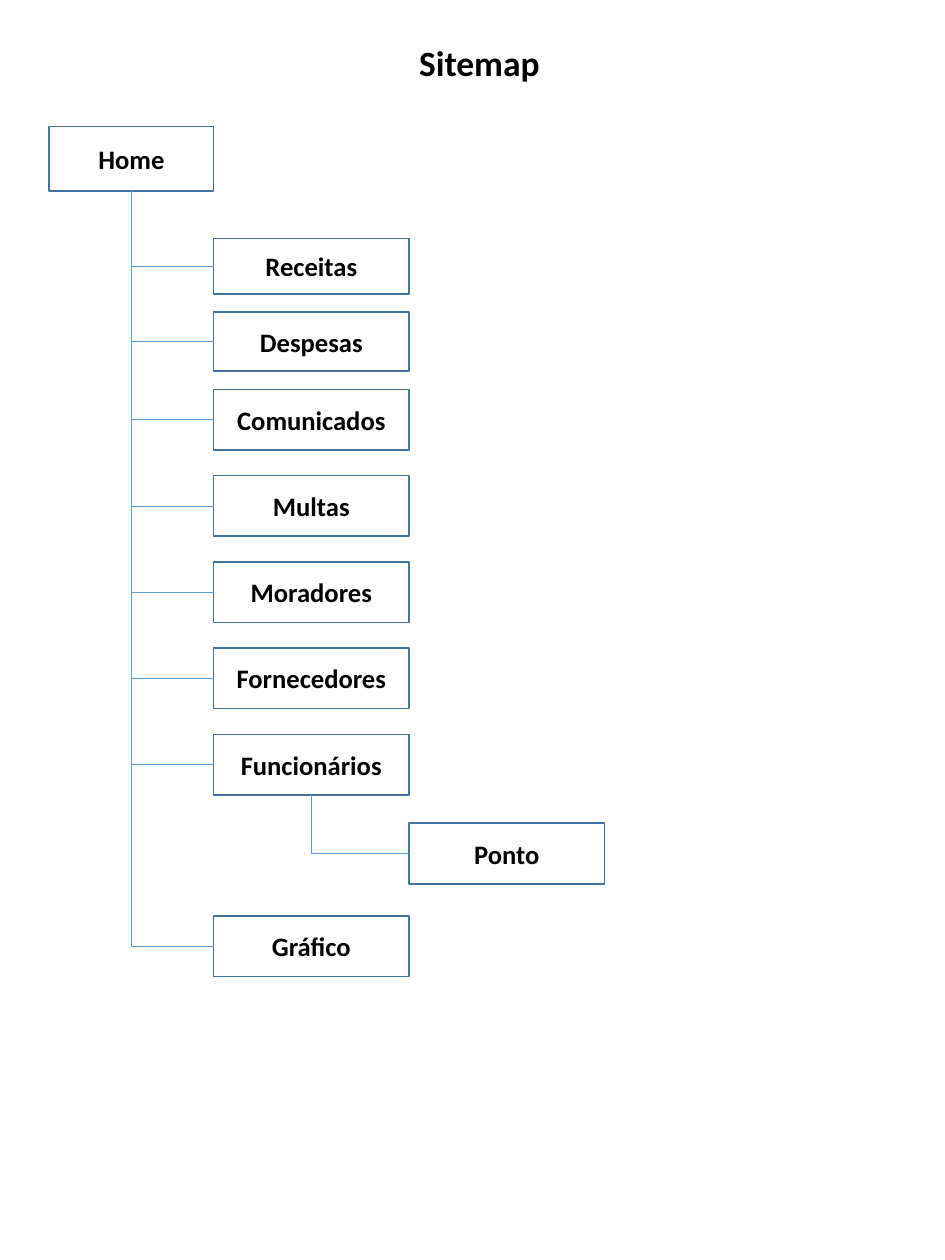
"""Build the one-page sitemap of a condominium management site."""
from dataclasses import dataclass

from lxml import etree
from pptx import Presentation
from pptx import util as u
from pptx.dml.color import RGBColor
from pptx.enum import shapes, text
from pptx.oxml.ns import qn


@dataclass(frozen=True)
class Theme:
    font: str = "Calibri"
    ink: str = "000000"
    border: str = "43739E"
    branch: str = "5B9BD5"
    title_size: float = 24
    page_size: float = 18
    border_width: float = 1
    branch_width: float = 0.5


class Sitemap:
    def __init__(self, slide, theme):
        self.slide = slide
        self.theme = theme

    def apply(self, target, formats):
        for name, value in formats.items():
            setattr(target, name, value)

    def stroke(self, line, color, width):
        line.color.rgb = RGBColor.from_string(color)
        line.width = u.Pt(width)

    def label(self, frame, wording, size, align, formats):
        self.apply(frame, formats)
        paragraph = frame.paragraphs[0]
        paragraph.alignment = align
        run = paragraph.add_run()
        run.text = wording
        self.apply(run.font, {"name": self.theme.font, "size": u.Pt(size), "bold": True})
        run.font.color.rgb = RGBColor.from_string(self.theme.ink)

    def title(self, wording, *bounds):
        heading = self.slide.shapes.add_textbox(*map(u.Pt, bounds))
        self.label(heading.text_frame, wording, self.theme.title_size, text.PP_ALIGN.LEFT, {
            "word_wrap": False,
            "auto_size": text.MSO_AUTO_SIZE.SHAPE_TO_FIT_TEXT,
        })

    def page(self, wording, *bounds):
        page = self.slide.shapes.add_shape(shapes.MSO_SHAPE.RECTANGLE, *map(u.Pt, bounds))
        page.shadow.inherit = False
        page.fill.background()
        self.stroke(page.line, self.theme.border, self.theme.border_width)
        self.label(page.text_frame, wording, self.theme.page_size, text.PP_ALIGN.CENTER, {
            "word_wrap": True,
            "vertical_anchor": text.MSO_ANCHOR.MIDDLE,
            "margin_left": u.Pt(11.5),
            "margin_right": u.Pt(11.5),
            "margin_top": u.Pt(5.75),
            "margin_bottom": u.Pt(5.75),
        })
        return page

    def branch(self, parent, child):
        branch = self.slide.shapes.add_connector(shapes.MSO_CONNECTOR.ELBOW, 0, 0, 0, 0)
        branch.begin_connect(parent, 2)
        branch.end_connect(child, 1)
        start_x, start_y = parent.left + parent.width // 2, parent.top + parent.height
        end_x, end_y = child.left, child.top + child.height // 2
        across, down = end_x - start_x, end_y - start_y
        self.apply(branch, {
            "left": (start_x + end_x - down) // 2,
            "top": (start_y + end_y - across) // 2,
            "width": down,
            "height": across,
        })
        properties = branch._element.spPr
        frame = properties.find(qn("a:xfrm"))
        frame.attrib.pop("flipV", None)
        frame.set("rot", "16200000")
        frame.set("flipH", "1")
        properties.find(qn("a:prstGeom")).set("prst", "bentConnector2")
        self.stroke(branch.line, self.theme.branch, self.theme.branch_width)
        etree.SubElement(properties, qn("a:effectLst"))


SECTION_LEFT, PAGE_WIDTH, PAGE_HEIGHT = 144.5, 132.25, 41
REGULAR_TOP, REGULAR_PITCH = 263.5, 58.33
REGULAR = ["Comunicados", "Multas", "Moradores", "Fornecedores", "Funcionários"]

sections = [("Receitas", 161.3, 37.5), ("Despesas", 211.2, 39.75)]
sections += [(name, REGULAR_TOP + row * REGULAR_PITCH, PAGE_HEIGHT)
             for row, name in enumerate(REGULAR)]
sections.append(("Gráfico", 619.8, PAGE_HEIGHT))

deck = Presentation()
deck.slide_width, deck.slide_height = u.Pt(639.36), u.Pt(852.48)
sitemap = Sitemap(deck.slides.add_slide(deck.slide_layouts[6]), Theme())

home = sitemap.page("Home", 33.25, 85.5, 111.25, 43.75)
section_pages = {name: sitemap.page(name, SECTION_LEFT, top, PAGE_WIDTH, height)
                 for name, top, height in sections}
timesheet = sitemap.page("Ponto", SECTION_LEFT + PAGE_WIDTH, 557, PAGE_WIDTH, PAGE_HEIGHT)

for section in section_pages.values():
    sitemap.branch(home, section)
sitemap.branch(section_pages["Funcionários"], timesheet)

sitemap.title("Sitemap", 276.5, 24, 97, 36)

deck.save("out.pptx")
